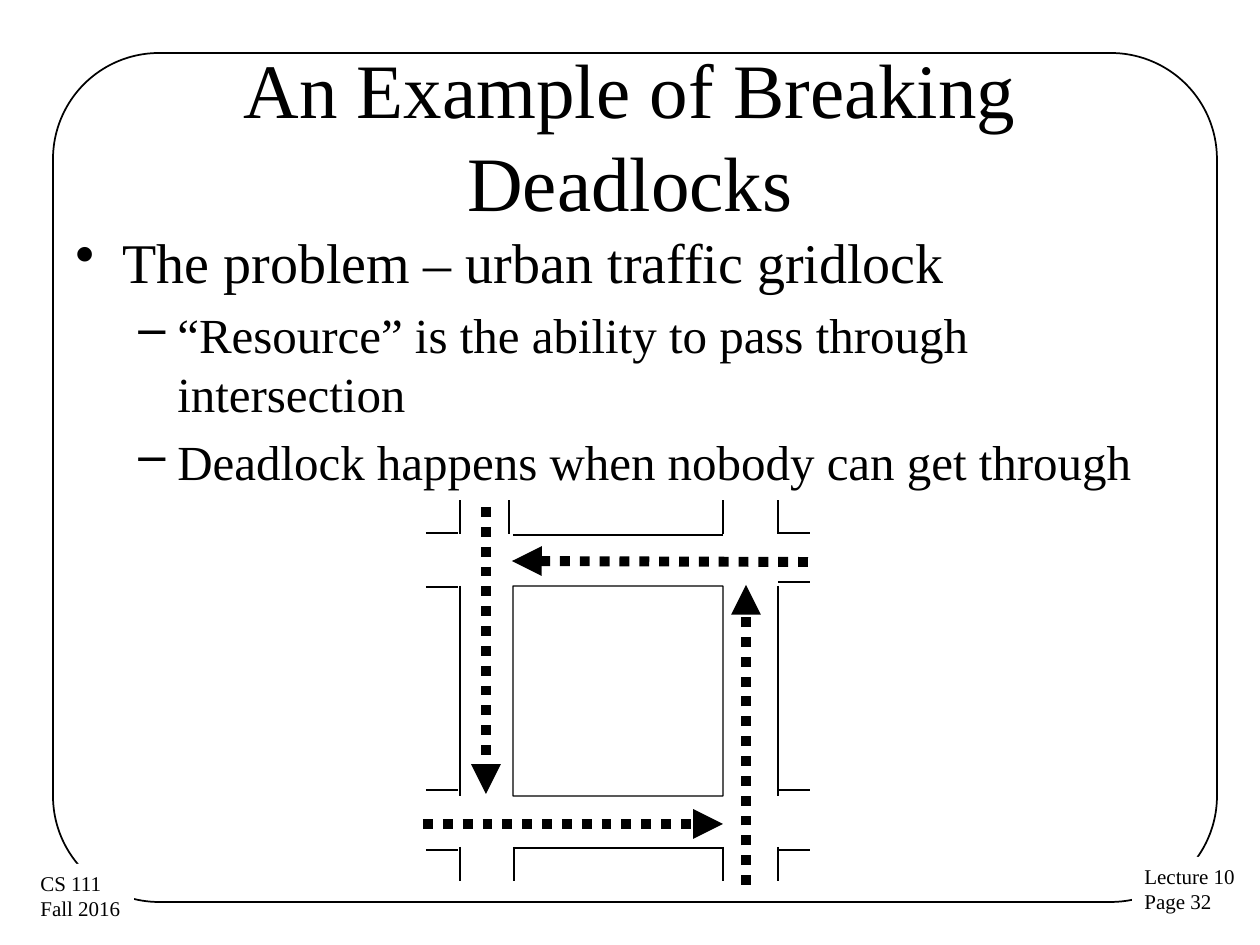
import pptx
import pptx.util
import pptx.dml.color
import pptx.enum.dml
import pptx.enum.shapes
import pptx.enum.text
import pptx.oxml
import pptx.oxml.ns

EMU_PER_PIXEL = 914400 // 126
COLORS = {"ink": "000000", "paper": "FFFFFF"}
FONT = "Times New Roman"


def px(length):
    """Turn pixels into EMU."""
    return pptx.util.Emu(length * 914400 // 126)


def color(name):
    """Look up a named colour."""
    return pptx.dml.color.RGBColor.from_string(COLORS[name])


def add_xml(parent, tag, **attributes):
    """Append a drawing element with attributes."""
    child = pptx.oxml.parse_xml(f"<{tag} {pptx.oxml.ns.nsdecls('a')}/>")
    for key, value in attributes.items():
        child.set(key, value)
    parent.append(child)


class Sketch:
    """Holds the slide and its black-on-white style."""

    def __init__(self, slide):
        self.slide = slide

    def outline(self, left, top, width, height, radius, weight):
        """Draw an unfilled rounded rectangle."""
        box = self.slide.shapes.add_shape(
            pptx.enum.shapes.MSO_SHAPE.ROUNDED_RECTANGLE,
            px(left), px(top), px(width), px(height))
        box.adjustments[0] = radius
        box.shadow.inherit = False
        box.fill.background()
        box.line.color.rgb = color("ink")
        box.line.width = pptx.util.Pt(weight)

    def line(self, x1, y1, x2, y2, weight=0.75):
        """Draw a straight line and return it."""
        line = self.slide.shapes.add_connector(
            pptx.enum.shapes.MSO_CONNECTOR.STRAIGHT,
            px(x1), px(y1), px(x2), px(y2))
        line.line.color.rgb = color("ink")
        line.line.width = pptx.util.Pt(weight)
        add_xml(line._element.spPr, "a:effectLst")
        return line

    def traffic(self, x1, y1, x2, y2):
        """Draw a thick dotted arrow."""
        arrow = self.line(x1, y1, x2, y2, 5.67)
        arrow.line.dash_style = pptx.enum.dml.MSO_LINE.ROUND_DOT
        add_xml(arrow.line._get_or_add_ln(), "a:tailEnd", type="triangle")

    def text(self, left, top, width, height, lines, size, wrap=True):
        """Add a text box with one paragraph per line and return it."""
        box = self.slide.shapes.add_textbox(px(left), px(top), px(width), px(height))
        frame = box.text_frame
        frame.word_wrap = wrap
        frame.text = "\n".join(lines)
        for paragraph in frame.paragraphs:
            paragraph.font.name = FONT
            paragraph.font.size = pptx.util.Pt(size)
            paragraph.font.color.rgb = color("ink")
        return box

    def footer(self, left, top, width, height, lines):
        """Add a small white label that covers the frame."""
        label = self.text(left, top, width, height, lines, 12, wrap=False)
        label.fill.solid()
        label.fill.fore_color.rgb = color("paper")

    def title(self, left, top, width, height, words):
        """Add a centred heading."""
        frame = self.text(left, top, width, height, [words], 44).text_frame
        frame.vertical_anchor = pptx.enum.text.MSO_ANCHOR.MIDDLE
        frame.paragraphs[0].alignment = pptx.enum.text.PP_ALIGN.CENTER

    def bullets(self, left, top, width, height, items):
        """Add a list of (level, words) items."""
        levels = [("•", 32, 47, 47), ("–", 28, 102, 39)]
        box = self.text(left, top, width, height, [words for _, words in items], 32)
        for paragraph, (level, _) in zip(box.text_frame.paragraphs, items):
            mark, size, margin, hang = levels[level]
            paragraph.level = level
            paragraph.font.size = pptx.util.Pt(size)
            paragraph.space_before = pptx.util.Pt(size * 0.2)
            properties = paragraph._p.get_or_add_pPr()
            properties.set("marL", str(px(margin)))
            properties.set("indent", str(-px(hang)))
            bullet = pptx.oxml.parse_xml(
                f'<a:buChar {pptx.oxml.ns.nsdecls("a")} char="{mark}"/>')
            properties.insert_element_before(bullet, "a:tabLst", "a:defRPr", "a:extLst")


presentation = pptx.Presentation()
presentation.slide_width = px(1260)
presentation.slide_height = px(945)
sketch = Sketch(presentation.slides.add_slide(presentation.slide_layouts[6]))

sketch.outline(53, 53, 1164, 849, 0.125, 1)
sketch.footer(1132, 857, 117, 64, ["Lecture 10", "Page 32"])
sketch.footer(28, 864, 106, 64, ["CS 111", "Fall 2016 "])
sketch.title(63, 55, 1134, 158, "An Example of Breaking Deadlocks")
sketch.bullets(63, 221, 1134, 624, [
    (0, "The problem – urban traffic gridlock"),
    (1, "“Resource” is the ability to pass through intersection"),
    (1, "Deadlock happens when nobody can get through"),
])

# City block and the long kerbs around it
west, block_left, block_right, east = 460, 513, 723, 778
block_top, block_bottom = 586, 796
sketch.outline(block_left, block_top, 210, 210, 0.001, 0.75)
for kerb_y in (535, 848):
    sketch.line(block_left, kerb_y, block_right, kerb_y)
for kerb_x in (west, east):
    sketch.line(kerb_x, block_top, kerb_x, block_bottom)

# Short kerbs leading out of the four crossings
for inner, outer, second in ((534, 500, 509), (847, 881, 514)):
    for kerb_x in (west, second, block_right, east):
        sketch.line(kerb_x, inner, kerb_x, outer)
for start, end, second in ((426, 458, 587), (east, 810, 582)):
    for kerb_y in (533, second, 790, 850):
        sketch.line(start, kerb_y, end, kerb_y)

# Four streams of traffic blocking one another
for stream in ((808, 562, 512, 561), (486, 507, 486, 794),
               (423, 824, 723, 824), (746, 885, 746, 585)):
    sketch.traffic(*stream)

presentation.save("out.pptx")
